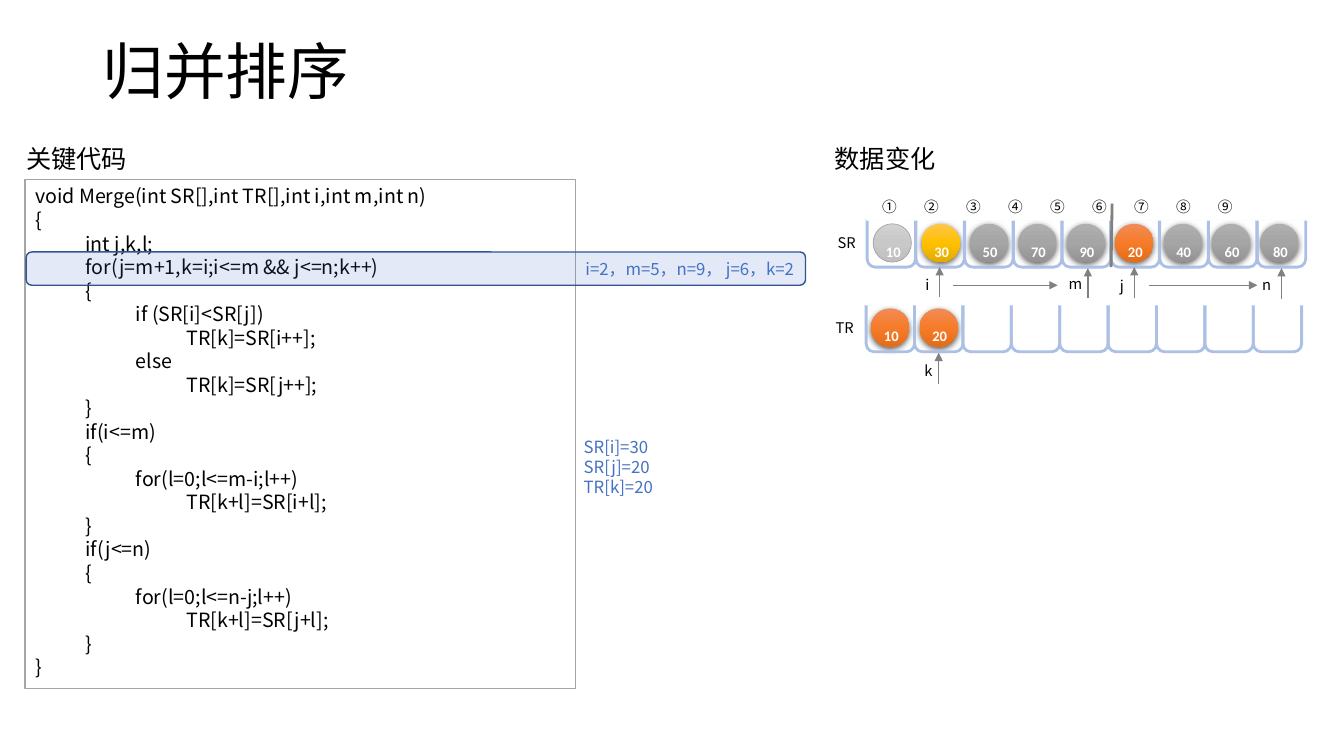
from lxml import etree
from pptx import Presentation
from pptx.dml.color import RGBColor
from pptx.enum import shapes, text
from pptx.oxml import ns
from pptx.util import Inches, Pt

COLORS = {
    "black": "000000", "white": "FFFFFF", "blue": "4472C4", "navy": "325491",
    "cup": "ABC0E4", "frame": "A5A5A5", "arrow": "808080",
}
BALLS = {
    "faded": ("D2D2D2", "C8C8C8", "C0C0C0"),
    "gold": ("FFC64B", "FFC000", "E3AB00"),
    "gray": ("AFAFAF", "A5A5A5", "939393"),
    "orange": ("F18C57", "F67B28", "E56C19"),
}
RGB = {name: RGBColor.from_string(value) for name, value in COLORS.items()}
CJK = "Noto Sans CJK SC"
MS = shapes.MSO_SHAPE
ALIGN = text.PP_ALIGN
MIDDLE = text.MSO_ANCHOR.MIDDLE

prs = Presentation()
prs.slide_width, prs.slide_height = Inches(13.33), Inches(7.5)
s = prs.slides.add_slide(prs.slide_layouts[6])


def add_box(kind, at, fill=None, line=None, width=1):
    """Add a preset shape without shadow; fill and line are colour names."""
    sp = s.shapes.add_shape(kind, *map(Inches, at))
    sp.shadow.inherit = False
    if fill:
        sp.fill.solid()
        sp.fill.fore_color.rgb = RGB[fill]
    else:
        sp.fill.background()
    if line:
        sp.line.color.rgb = RGB[line]
        sp.line.width = Pt(width)
    else:
        sp.line.fill.background()
    return sp


def write(lines, size, at=None, sp=None, color="black", align=ALIGN.LEFT,
          spacing=None, wrap=True, frame=None, **font):
    """Write one paragraph per line in a new text box at `at`, or in shape sp."""
    sp = sp or s.shapes.add_textbox(*map(Inches, at))
    tf = sp.text_frame
    for name, value in {"word_wrap": wrap, "vertical_anchor": text.MSO_ANCHOR.TOP, **(frame or {})}.items():
        setattr(tf, name, value)
    for i, line in enumerate(lines):
        p = tf.add_paragraph() if i else tf.paragraphs[0]
        p.alignment = align
        p.line_spacing = spacing or Pt(round(size * 1.2, 1))
        r = p.add_run()
        r.text = line
        for name, value in {"name": CJK, "size": Pt(size), **font}.items():
            setattr(r.font, name, value)
        r.font.color.rgb = RGB[color]
        rPr = r.font._element
        etree.SubElement(rPr, ns.qn("a:ea"), typeface=CJK)
    return sp


# Title, code and headings
write(["归并排序"], 44, (0.92, 0.01, 11.5, 1.45), spacing=0.9, frame={"vertical_anchor": MIDDLE})

code = """void Merge(int SR[],int TR[],int i,int m,int n)
{
	int j,k,l;
	for(j=m+1,k=i;i<=m && j<=n;k++)
	{
		if (SR[i]<SR[j])
			TR[k]=SR[i++];
		else
			TR[k]=SR[j++];
	}
	if(i<=m)
	{
		for(l=0;l<=m-i;l++)
			TR[k+l]=SR[i+l];
	}
	if(j<=n)
	{
		for(l=0;l<=n-j;l++)
			TR[k+l]=SR[j+l];
	}
}"""
code_box = add_box(MS.RECTANGLE, (0.25, 1.78, 5.46, 5.05), "white", "frame")
write(code.split("\n"), 14, sp=code_box)

current = add_box(MS.ROUNDED_RECTANGLE, (0.26, 2.5, 7.73, 0.33), "blue", "navy")
tint = current._element.spPr.find(ns.qn("a:solidFill"))[0]
etree.SubElement(tint, ns.qn("a:alpha"), val="15000")
write(["i=2，m=5，n=9， j=6，k=2"], 12, sp=current, color="blue",
      align=ALIGN.RIGHT, frame={"vertical_anchor": MIDDLE})

for heading, x in (("关键代码", 0.16), ("数据变化", 8.18)):
    write([heading], 18, (x, 1.37, 1.21, 0.4), spacing=1.0)
write(["SR[i]=30", "SR[j]=20", "TR[k]=20"], 12, (5.69, 4.28, 0.98, 0.71), color="blue")

# Arrays: name, name position, first ball, first cup, cup pitch, top of balls, contents
GRAYS = [(n, "gray") for n in (50, 70, 90)]
arrays = [
    ("SR", (8.21, 2.27), 8.66, 8.6, (12.47 - 8.6) / 8, 2.22,
     [(10, "faded"), (30, "gold"), *GRAYS, (20, "orange"),
      (40, "gray"), (60, "gray"), (80, "gray")]),
    ("TR", (8.19, 3.11), 8.64, 8.59, 0.48, 3.06, [(10, "orange"), (20, "orange")]),
]
for name, place, ball_x, cup_x, cup_pitch, top, contents in arrays:
    write([name], 10.5, (*place, 0.39, 0.28))
    for i, (number, tone) in enumerate(contents):
        faded = tone == "faded"
        ball = add_box(MS.OVAL, (ball_x + 0.48 * i, top, 0.38, 0.38),
                       line="frame" if faded else None, width=0.5)
        ball.fill.gradient()
        ball.fill.gradient_angle = 270
        spPr = ball._element.spPr
        stops = spPr.find(ns.qn("a:gradFill")).find(ns.qn("a:gsLst"))
        stops.clear()
        for pos, value in zip((0, 50000, 100000), BALLS[tone]):
            stop = etree.SubElement(stops, ns.qn("a:gs"), pos=str(pos))
            etree.SubElement(stop, ns.qn("a:srgbClr"), val=value)
        if not faded:
            shadow = etree.SubElement(
                spPr.find(ns.qn("a:effectLst")), ns.qn("a:outerShdw"),
                blurRad=str(Pt(4.5)), dist=str(Pt(1.5)), dir="5400000", rotWithShape="0")
            shade = etree.SubElement(shadow, ns.qn("a:srgbClr"), val=COLORS["black"])
            etree.SubElement(shade, ns.qn("a:alpha"), val="63000")
    for i in range(9):
        cup = add_box(MS.ROUND_2_SAME_RECTANGLE,
                      (cup_x + cup_pitch * i, top - 0.05, 0.48, 0.48), line="cup", width=2)
        cup.rotation = 180
    for i, (number, tone) in enumerate(contents):
        label = write([str(number)], 18, (ball_x + 0.01 + 0.48 * i, top - 0.03, 0.38, 0.3),
                      color="white", align=ALIGN.CENTER, spacing=1.0, name="Calibri", bold=True,
                      frame={"margin_left": 0, "margin_right": 0})
        label.text_frame.paragraphs[0].runs[0].font._element.set("baseline", "-25000")

# White strips open the cups at the top; the upper one carries the positions
positions = add_box(MS.RECTANGLE, (8.59, 1.91, 4.69, 0.28), "white")
write(["\t".join("①②③④⑤⑥⑦⑧⑨")], 10.5, sp=positions, frame={"margin_left": Inches(0.16)})
pPr = positions.text_frame.paragraphs[0]._p.get_or_add_pPr()
tabs = etree.SubElement(pPr, ns.qn("a:tabLst"))
for i in range(1, 9):
    etree.SubElement(tabs, ns.qn("a:tab"), pos=str(Inches(3.33 / 8 * i)), algn="l")
add_box(MS.RECTANGLE, (8.5, 2.85, 4.7, 0.18), "white")

# Divider between the runs, index arrows and their letters
lines = [
    (11.03, 2.02, 11.02, 2.65, 2),
    (9.32, 2.95, 9.32, 2.65, 1),
    (10.79, 2.96, 10.79, 2.66, 1),
    (9.45, 2.83, 10.49, 2.83, 1),
    (11.25, 2.96, 11.25, 2.65, 1),
    (12.71, 2.97, 12.71, 2.66, 1),
    (11.4, 2.83, 12.47, 2.83, 1),
    (9.31, 3.81, 9.31, 3.5, 1),
]
for *ends, width in lines:
    arrow = s.shapes.add_connector(shapes.MSO_CONNECTOR.STRAIGHT, *map(Inches, ends))
    arrow.line.color.rgb = RGB["arrow"]
    arrow.line.width = Pt(width)
    if width == 1:
        etree.SubElement(arrow.line._get_or_add_ln(), ns.qn("a:tailEnd"), type="triangle")
    etree.SubElement(arrow._element.spPr, ns.qn("a:effectLst"))

for letter, x, y in (("i", 9.08, 2.69), ("m", 10.5, 2.68), ("j", 11.01, 2.7),
                     ("n", 12.42, 2.69), ("k", 9.07, 3.54)):
    write([letter], 10.5, (x, y, 0.27, 0.28))

prs.save("out.pptx")
